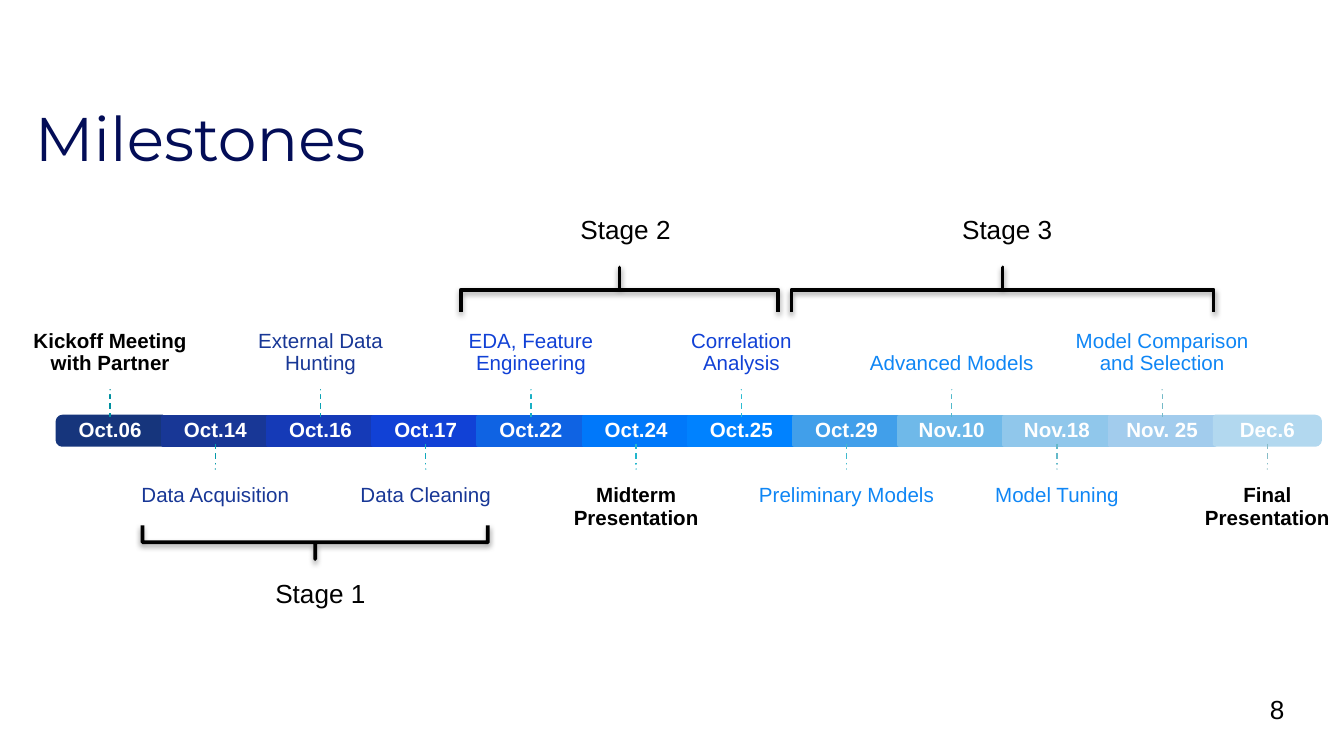
"""Build the project milestones timeline slide."""
from lxml.etree import SubElement
from pptx import Presentation
from pptx.dml.color import RGBColor
from pptx.enum.dml import MSO_LINE
from pptx.enum.shapes import MSO_CONNECTOR, MSO_SHAPE as Preset
from pptx.enum.text import MSO_ANCHOR as Anchor, MSO_AUTO_SIZE, PP_ALIGN as Align
from pptx.oxml.ns import qn
from pptx.util import Inches, Pt

COLORS = {"title": "030D57", "key": "000000", "prepare": "183796",
          "explore": "1141D6", "model": "0F86F5", "white": "FFFFFF"}
MILESTONES = [
    ("Oct.06", "Kickoff Meeting with Partner", "key", "16357C", "0090A0", "008998"),
    ("Oct.14", "Data Acquisition", "prepare", "183796", "0599AA", "0594A4"),
    ("Oct.16", "External Data Hunting", "prepare", "153AB7", "0BA2B4", "0C9EB0"),
    ("Oct.17", "Data Cleaning", "prepare", "1141D6", "12A9BD", "13A6BA"),
    ("Oct.22", "EDA, Feature Engineering", "explore", "0F63E3", "1AB0C5", "1CAEC3"),
    ("Oct.24", "Midterm Presentation", "key", "0078FA", "22B6CC", "26B6CB"),
    ("Oct.25", "Correlation Analysis", "explore", "0082FF", "2CBCD2", "33BAD0"),
    ("Oct.29", "Preliminary Models", "model", "419FEA", "3FBACE", "49B9CC"),
    ("Nov.10", "Advanced Models", "model", "6FB9E9", "52B9CB", "5EB9C9"),
    ("Nov.18", "Model Tuning", "model", "90C7EB", "64B9C9", "71BAC7"),
    ("Nov. 25", "Model Comparison and Selection", "model", "A2CCED", "75BAC7", "84BCC7"),
    ("Dec.6", "Final Presentation", "key", "B2D8EF", "86BCC7", "95BFC7"),
]
STAGES = [
    ("Stage 1", (1.06, 3.91, 2.57, 0.25), 90, (1.95, 4.25)),
    ("Stage 2", (3.43, 1.99, 2.36, 0.33), 270, (4.22, 1.54)),
    ("Stage 3", (5.89, 1.99, 3.14, 0.33), 270, (7.06, 1.54)),
]
FIRST_CENTER, LAST_CENTER = 0.82, 9.43
COLUMN = (LAST_CENTER - FIRST_CENTER) / (len(MILESTONES) - 1)
BAR_TOP, BAR_HEIGHT = 3.1, 0.21
CAPTION_WIDTH, CAPTION_HEIGHT = 1.31, 0.74
DOT = 0.04


def rgb(value):
    """Turn a colour name or hex string into a colour."""
    return RGBColor.from_string(COLORS.get(value, value))


def add_label(slide, text, box, size, color="key", bold=False, align=Align.LEFT,
              anchor=Anchor.TOP, insets=(0.1, 0.05, 0.1, 0.05), spacing=1.0):
    """Add a single-paragraph text box."""
    frame = slide.shapes.add_textbox(*map(Inches, box)).text_frame
    frame.word_wrap, frame.vertical_anchor = True, anchor
    (frame.margin_left, frame.margin_top,
     frame.margin_right, frame.margin_bottom) = map(Inches, insets)
    paragraph = frame.paragraphs[0]
    paragraph.text, paragraph.alignment, paragraph.line_spacing = text, align, spacing
    font = paragraph.font
    font.name, font.size, font.bold = "Arial", Pt(size), bold
    font.color.rgb = rgb(color)


def add_preset(slide, preset, box, fill=None, line="key", rotation=0):
    """Add a preset shape whose box is given as it looks after rotation."""
    left, top, width, height = box
    if rotation:
        left, top = left + (width - height) / 2, top + (height - width) / 2
        width, height = height, width
    shape = slide.shapes.add_shape(preset, *map(Inches, (left, top, width, height)))
    shape.rotation = rotation
    shape.shadow.inherit = False
    if fill:
        shape.fill.solid()
        shape.fill.fore_color.rgb = rgb(fill)
    else:
        shape.fill.background()
    shape.line.color.rgb = rgb(line)
    shape.line.width = Pt(2)
    return shape


def add_stem(slide, center, top, bottom, color):
    """Add the dashed stem between the bar and a caption."""
    stem = slide.shapes.add_connector(
        MSO_CONNECTOR.STRAIGHT, *map(Inches, (center, top, center, bottom)))
    stem.line.color.rgb = rgb(color)
    stem.line.width, stem.line.dash_style = Pt(0.75), MSO_LINE.DASH
    SubElement(stem.element.spPr, qn("a:effectLst"))


def add_milestone(slide, index, date, caption, caption_color, bar, stem, dot):
    """Add one timeline column, with its caption above or below by turns."""
    center = FIRST_CENTER + index * COLUMN
    segment = (center - COLUMN / 2, BAR_TOP, COLUMN, BAR_HEIGHT)
    rotation = {0: 270, len(MILESTONES) - 1: 90}.get(index, 0)
    preset = Preset.ROUND_2_SAME_RECTANGLE if rotation else Preset.RECTANGLE
    add_preset(slide, preset, segment, bar, bar, rotation)
    add_label(slide, date, segment, 11, "white", True, Align.CENTER,
              Anchor.MIDDLE, (0.09,) * 4, 0.9)
    if index % 2 == 0:
        stem_top, stem_bottom, dot_top, caption_top = 2.93, BAR_TOP, 2.88, 2.14
        anchor, insets = Anchor.BOTTOM, (0, 0, 0, 0.09)
    else:
        stem_top, stem_bottom, dot_top, caption_top = 3.3, 3.47, 3.47, 3.52
        anchor, insets = Anchor.TOP, (0, 0.09, 0, 0)
    add_label(slide, caption,
              (center - CAPTION_WIDTH / 2, caption_top, CAPTION_WIDTH, CAPTION_HEIGHT),
              11, caption_color, caption_color == "key", Align.CENTER, anchor, insets, 0.9)
    add_stem(slide, center, stem_top, stem_bottom, stem)
    add_preset(slide, Preset.OVAL, (center - DOT / 2, dot_top, DOT, DOT), dot, "white")


def add_stage(slide, name, box, rotation, label_corner):
    """Add a square bracket with a soft shadow and its stage name."""
    bracket = add_preset(slide, Preset.RIGHT_BRACE, box, rotation=rotation)
    bracket.adjustments[0], bracket.adjustments[1] = 0, 0.5
    effects = bracket.element.spPr.find(qn("a:effectLst"))
    shadow = SubElement(effects, qn("a:outerShdw"), blurRad=str(Pt(3.1)),
                        dist=str(Pt(1.6)), dir="5400000", rotWithShape="0")
    tint = SubElement(shadow, qn("a:srgbClr"), val=COLORS["key"])
    SubElement(tint, qn("a:alpha"), val="38000")
    add_label(slide, name, (*label_corner, 0.91, 0.34), 14)


def set_title(slide, text):
    """Place and format the title placeholder."""
    title = slide.shapes.title
    title.left, title.top, title.width, title.height = map(Inches, (0.16, 0.64, 2.95, 0.69))
    frame = title.text_frame
    frame.text = text
    frame.word_wrap, frame.auto_size = True, MSO_AUTO_SIZE.NONE
    frame.vertical_anchor = Anchor.TOP
    frame.margin_left = frame.margin_right = Inches(0.1)
    frame.margin_top = frame.margin_bottom = Inches(0.1)
    paragraph = frame.paragraphs[0]
    paragraph.alignment = Align.LEFT
    paragraph.font.name, paragraph.font.size = "Montserrat", Pt(33)
    paragraph.font.color.rgb = rgb("title")


def main():
    """Build and save the slide."""
    deck = Presentation()
    deck.slide_width, deck.slide_height = Inches(10), Inches(10 * 9 / 16)
    slide = deck.slides.add_slide(deck.slide_layouts[5])
    set_title(slide, "Milestones")
    for index, milestone in enumerate(MILESTONES):
        add_milestone(slide, index, *milestone)
    for stage in STAGES:
        add_stage(slide, *stage)
    add_label(slide, "8", (9.35, 5.11, 0.6, 0.43), 14)
    deck.save("out.pptx")


if __name__ == "__main__":
    main()
